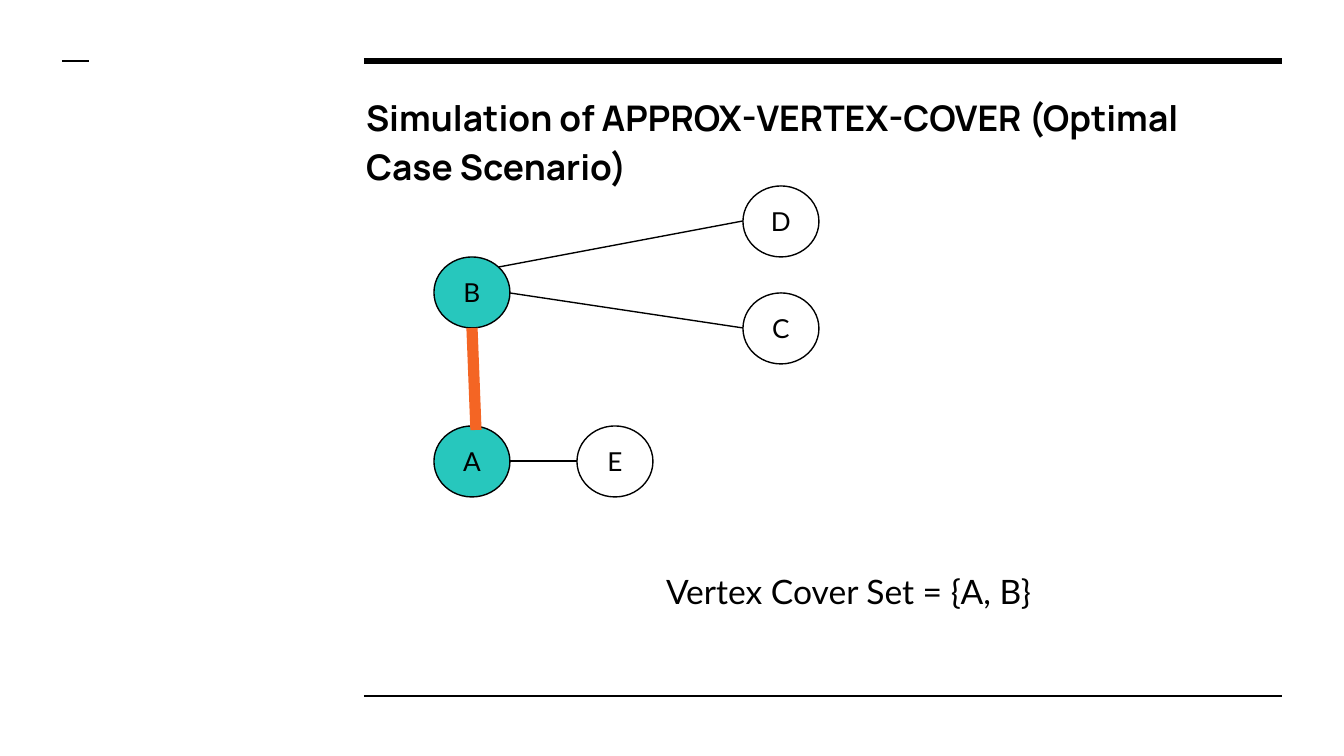
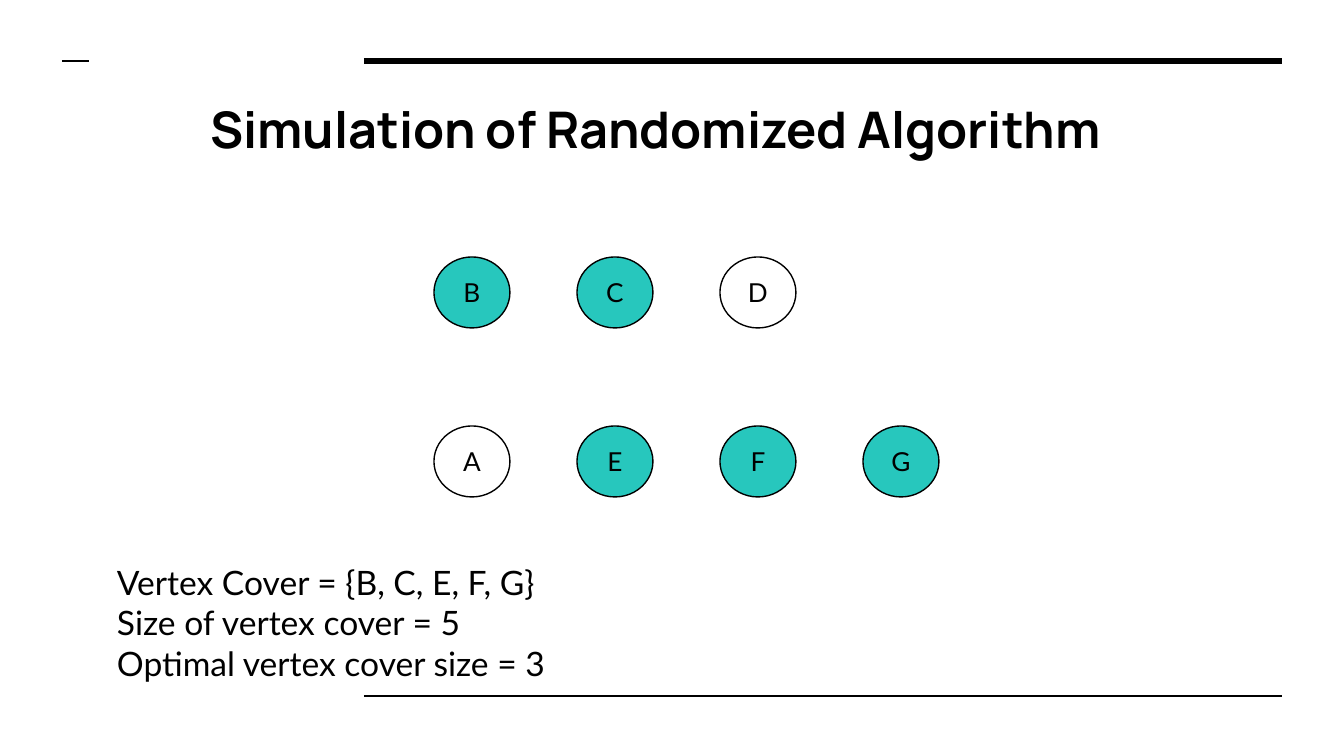
from dataclasses import dataclass

from lxml import etree
from pptx import Presentation
from pptx.dml.color import RGBColor
from pptx.enum.shapes import MSO_CONNECTOR, MSO_SHAPE
from pptx.enum.text import MSO_ANCHOR, MSO_AUTO_SIZE, PP_ALIGN
from pptx.oxml.ns import qn
from pptx.slide import Slide
from pptx.text.text import TextFrame
from pptx.util import Emu, Pt

STRAIGHT = MSO_CONNECTOR.STRAIGHT
ELLIPSE = MSO_SHAPE.OVAL
TOP, MIDDLE = MSO_ANCHOR.TOP, MSO_ANCHOR.MIDDLE
LEFT, CENTER = PP_ALIGN.LEFT, PP_ALIGN.CENTER
GROW = MSO_AUTO_SIZE.SHAPE_TO_FIT_TEXT
FIXED = MSO_AUTO_SIZE.NONE

EMU_PER_PX = 914400 / 134.4
COLORS = {"ink": "000000", "paper": "FFFFFF", "cover": "27C7BD", "picked": "F46524"}
TITLE_FONT, BODY_FONT = "Manrope", "Lato"
INSET = 13
NODE_WIDTH, NODE_HEIGHT = 76, 71
COLUMNS = [434 + 143 * column for column in range(4)]
UPPER_ROW, LOWER_ROW = 257, 426


@dataclass(frozen=True)
class Box:
    left: int
    top: int
    width: int
    height: int


@dataclass(frozen=True)
class Node:
    label: str
    left: int
    top: int
    covered: bool = False


@dataclass(frozen=True)
class Edge:
    start: tuple[int, int]
    end: tuple[int, int]
    weight: float = 0.75
    color: str = "ink"


FRAME = [
    Edge((364, 61), (1282, 61), 3),
    Edge((364, 696), (1282, 696), 1.5),
    Edge((62, 61), (89, 61), 1.5),
]
OPTIMAL_NODES = [
    Node("B", COLUMNS[0], UPPER_ROW, True),
    Node("A", COLUMNS[0], LOWER_ROW, True),
    Node("C", 743, 293),
    Node("E", COLUMNS[1], LOWER_ROW),
    Node("D", 743, 186),
]
OPTIMAL_EDGES = [
    Edge((476, 430), (472, 328), 6, "picked"),
    Edge((510, 293), (743, 328)),
    Edge((510, 461), (577, 461)),
    Edge((499, 267), (743, 221)),
]
RANDOM_ROWS = {UPPER_ROW: "BCD", LOWER_ROW: "AEFG"}
RANDOM_COVER = "BCEFG"
RANDOM_NODES = [
    Node(label, left, top, label in RANDOM_COVER)
    for top, labels in RANDOM_ROWS.items()
    for left, label in zip(COLUMNS, labels)
]


def px(length: int) -> Emu:
    """Turn pixels into EMU."""
    return Emu(round(length * EMU_PER_PX))


def color(name: str) -> RGBColor:
    """Look up a named colour."""
    return RGBColor.from_string(COLORS[name])


def write_text(frame: TextFrame, text: str, *, size: float, font: str = BODY_FONT,
               bold: bool = False, align: PP_ALIGN = LEFT, anchor: MSO_ANCHOR = TOP,
               auto_size: MSO_AUTO_SIZE = FIXED, line_spacing: float = 1.0) -> None:
    """Fill a text frame with one paragraph per line of text."""
    frame.word_wrap = True
    frame.auto_size = auto_size
    frame.vertical_anchor = anchor
    frame.margin_left = frame.margin_right = px(INSET)
    frame.margin_top = frame.margin_bottom = px(INSET)
    for index, line in enumerate(text.split("\n")):
        paragraph = frame.add_paragraph() if index else frame.paragraphs[0]
        paragraph.alignment = align
        paragraph.line_spacing = line_spacing
        run = paragraph.add_run()
        run.text = line
        run.font.name = font
        run.font.size = Pt(size)
        run.font.bold = bold
        run.font.color.rgb = color("ink")


def add_text(slide: Slide, box: Box, text: str, **text_format) -> None:
    """Add a text box."""
    shape = slide.shapes.add_textbox(
        px(box.left), px(box.top), px(box.width), px(box.height))
    write_text(shape.text_frame, text, **text_format)


def add_title(slide: Slide, box: Box, text: str, size: float,
              line_spacing: float = 1.0) -> None:
    """Add a slide title."""
    add_text(slide, box, text, size=size, font=TITLE_FONT, bold=True,
             line_spacing=line_spacing)


def add_edge(slide: Slide, edge: Edge) -> None:
    """Draw a straight line."""
    connector = slide.shapes.add_connector(
        STRAIGHT, *(px(value) for value in edge.start + edge.end))
    connector.line.color.rgb = color(edge.color)
    connector.line.width = Pt(edge.weight)
    etree.SubElement(connector._element.spPr, qn("a:effectLst"))


def add_node(slide: Slide, node: Node) -> None:
    """Draw a labelled graph vertex."""
    shape = slide.shapes.add_shape(
        ELLIPSE, px(node.left), px(node.top), px(NODE_WIDTH), px(NODE_HEIGHT))
    shape.shadow.inherit = False
    shape.fill.solid()
    shape.fill.fore_color.rgb = color("cover" if node.covered else "paper")
    shape.line.color.rgb = color("ink")
    shape.line.width = Pt(0.75)
    write_text(shape.text_frame, node.label, size=14, align=CENTER, anchor=MIDDLE)


def add_framed_slide(presentation: Presentation) -> Slide:
    """Add a blank slide with the shared rules."""
    slide = presentation.slides.add_slide(presentation.slide_layouts[6])
    for rule in FRAME:
        add_edge(slide, rule)
    return slide


def build_optimal_case(presentation: Presentation) -> None:
    """Build the optimal case slide."""
    slide = add_framed_slide(presentation)
    add_title(slide, Box(353, 77, 929, 93),
              "Simulation of APPROX-VERTEX-COVER (Optimal Case Scenario)", 18.9, 1.15)
    for node in OPTIMAL_NODES:
        add_node(slide, node)
    for edge in OPTIMAL_EDGES:
        add_edge(slide, edge)
    add_text(slide, Box(653, 558, 691, 67), "Vertex Cover Set = {A, B}",
             size=18, auto_size=GROW)


def build_randomized(presentation: Presentation) -> None:
    """Build the randomized algorithm slide."""
    slide = add_framed_slide(presentation)
    add_title(slide, Box(197, 85, 1085, 93), "Simulation of Randomized Algorithm", 27)
    for node in RANDOM_NODES:
        add_node(slide, node)
    add_text(slide, Box(104, 549, 1240, 149),
             "Vertex Cover = {B, C, E, F, G}\n"
             "Size of vertex cover = 5\n"
             "Optimal vertex cover size = 3", size=18, auto_size=GROW)


def main() -> None:
    """Build and save the presentation."""
    presentation = Presentation()
    presentation.slide_width, presentation.slide_height = px(1344), px(756)
    build_optimal_case(presentation)
    build_randomized(presentation)
    presentation.save("out.pptx")


if __name__ == "__main__":
    main()
